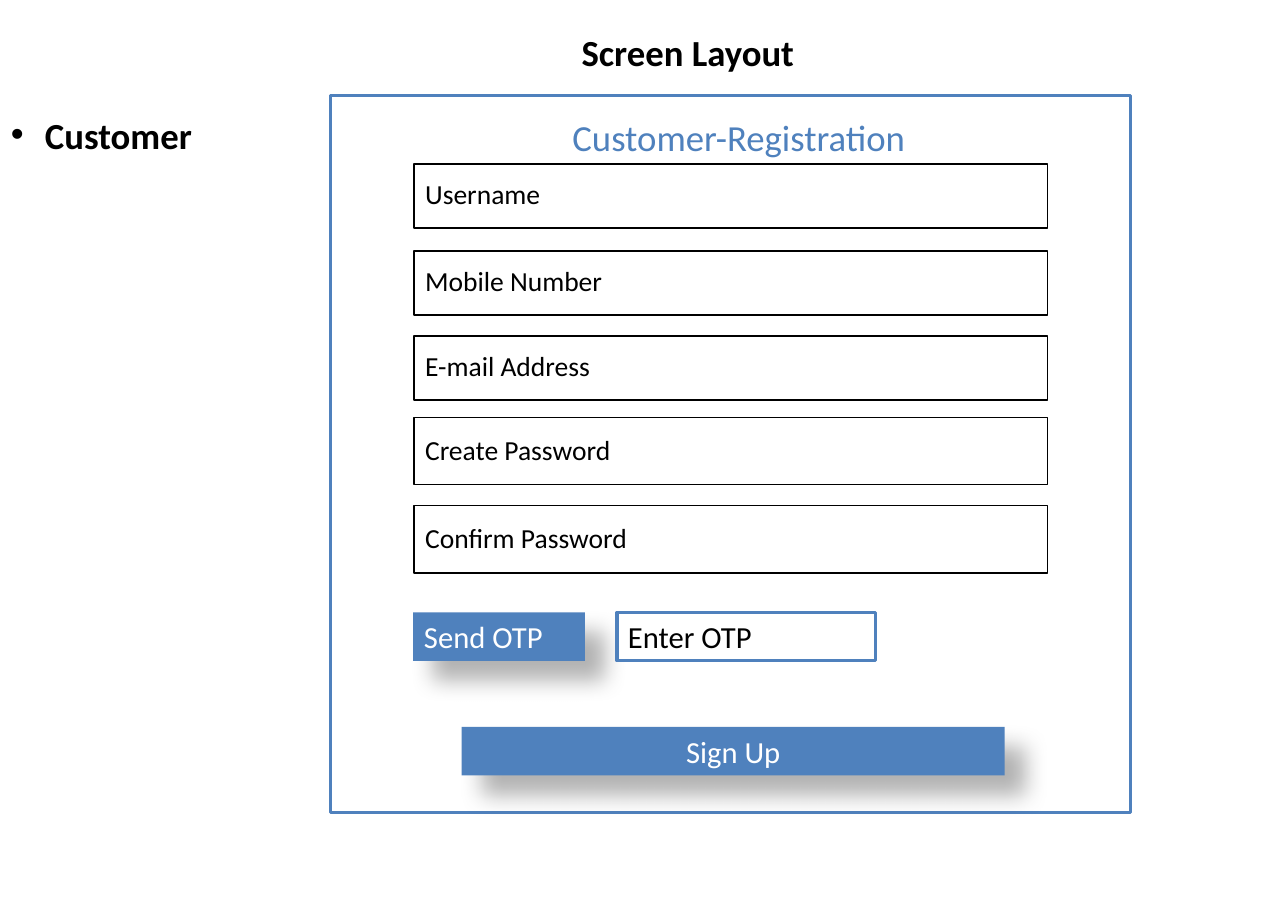
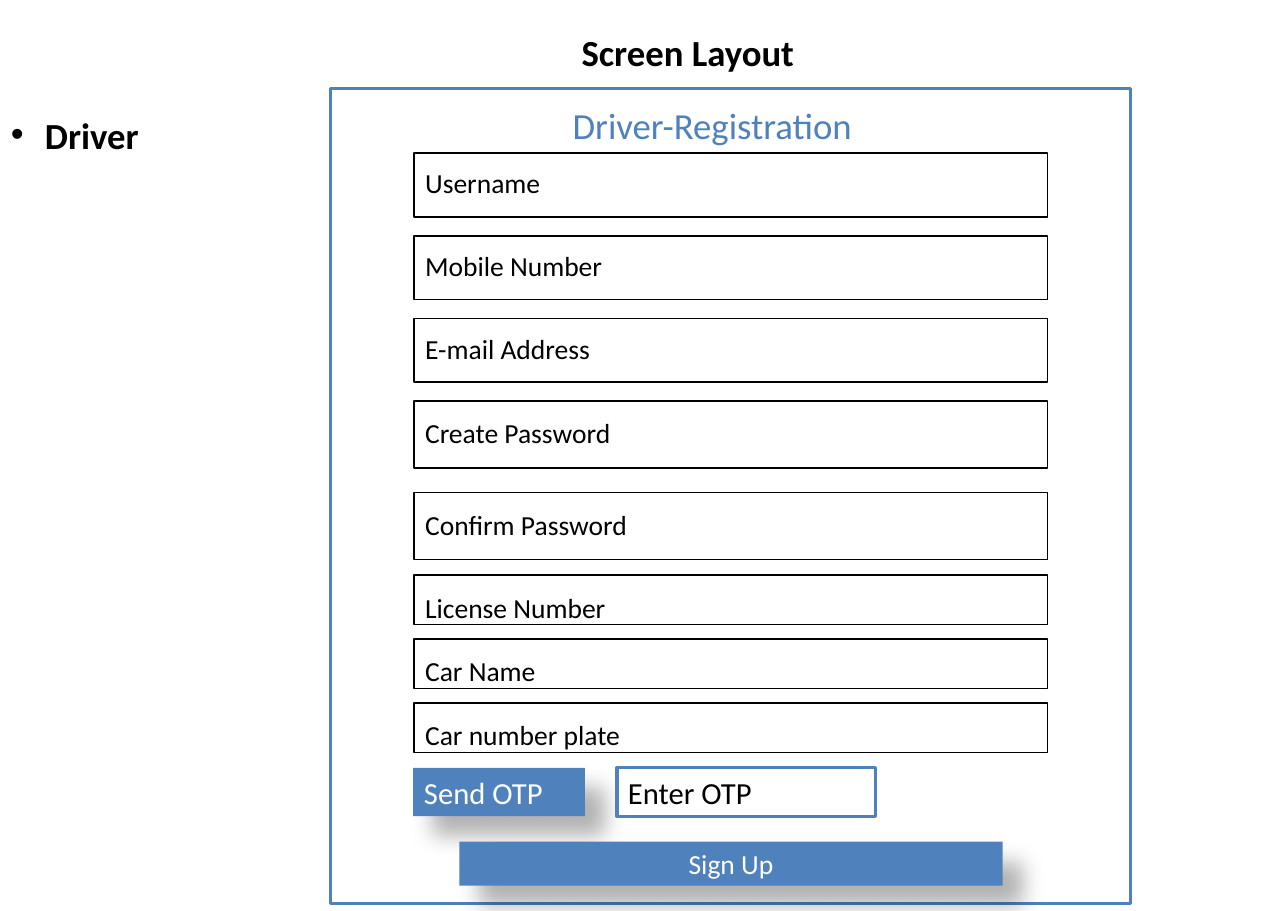
from lxml import etree
from pptx import Presentation
from pptx.dml.color import RGBColor
from pptx.enum.shapes import MSO_SHAPE
from pptx.enum.text import MSO_ANCHOR, PP_ALIGN
from pptx.oxml.ns import qn
from pptx.util import Inches, Pt

RECTANGLE = MSO_SHAPE.RECTANGLE
TOP, MIDDLE = MSO_ANCHOR.TOP, MSO_ANCHOR.MIDDLE
LEFT, CENTER = PP_ALIGN.LEFT, PP_ALIGN.CENTER

FONT = "Calibri"
BLUE, BLACK, WHITE = "4F81BD", "000000", "FFFFFF"
FIELD_LEFT, FIELD_WIDTH = 3.76, 5.75
BUTTON_HEIGHT = 0.44
BULLET_INDENT = 0.31


def color(hex_code):
    return RGBColor.from_string(hex_code)


def write(shape, text, size=18, ink=BLACK, bold=False, align=LEFT,
          anchor=TOP, insets=(0.1, 0.05, 0.1, 0.05), wrap=True):
    """Put one formatted paragraph into the shape and return it."""
    frame = shape.text_frame
    frame.word_wrap = wrap
    frame.vertical_anchor = anchor
    (frame.margin_left, frame.margin_top,
     frame.margin_right, frame.margin_bottom) = map(Inches, insets)
    paragraph = frame.paragraphs[0]
    paragraph.alignment = align
    run = paragraph.add_run()
    run.text = text
    run.font.name = FONT
    run.font.size = Pt(size)
    run.font.bold = bold
    run.font.color.rgb = color(ink)
    return paragraph


def add_bullet(paragraph):
    properties = paragraph._p.get_or_add_pPr()
    properties.set("marL", str(Inches(BULLET_INDENT)))
    properties.set("indent", str(-Inches(BULLET_INDENT)))
    etree.SubElement(properties, qn("a:buFont"), typeface="Arial")
    etree.SubElement(properties, qn("a:buChar"), char="•")


def add_shadow(shape):
    """Cast a soft shadow down and to the right."""
    effects = shape._element.spPr.find(qn("a:effectLst"))
    shadow = etree.SubElement(
        effects, qn("a:outerShdw"), blurRad=str(Pt(15)), dist=str(Pt(18)),
        dir="2700000", algn="ctr", rotWithShape="0")
    tint = etree.SubElement(shadow, qn("a:srgbClr"), val=BLACK)
    etree.SubElement(tint, qn("a:alpha"), val="30000")


class FormDeck:
    def __init__(self):
        self.presentation = Presentation()
        self.presentation.slide_width = Inches(11.69)
        self.presentation.slide_height = Inches(8.27)
        self.slide = None

    def start_slide(self, role):
        self.slide = self.presentation.slides.add_slide(
            self.presentation.slide_layouts[6])
        self.label("Screen Layout", 5.18, 0.22, 2.43, bold=True)
        add_bullet(self.label(role, 0, 0.97, 1.93, bold=True))

    def label(self, text, left, top, width, **style):
        box = self.slide.shapes.add_textbox(
            *map(Inches, (left, top, width, 0.51)))
        return write(box, text, size=24, **style)

    def box(self, left, top, width, height, fill=WHITE, line=None, weight=2):
        shape = self.slide.shapes.add_shape(
            RECTANGLE, *map(Inches, (left, top, width, height)))
        shape.shadow.inherit = False
        shape.fill.solid()
        shape.fill.fore_color.rgb = color(fill)
        if line:
            shape.line.color.rgb = color(line)
            shape.line.width = Pt(weight)
        else:
            shape.line.fill.background()
        return shape

    def panel(self, heading, top, height, heading_top, heading_width):
        self.box(3, top, 7.26, height, line=BLUE)
        self.label(heading, 4.93, heading_top, heading_width,
                   ink=BLUE, align=CENTER, wrap=False)

    def field(self, text, top, height, text_top):
        field = self.box(FIELD_LEFT, top, FIELD_WIDTH, height,
                         line=BLACK, weight=1)
        write(field, text, insets=(0.1, text_top, 0, 0))

    def button(self, text, left, top, width, height=BUTTON_HEIGHT, **style):
        button = self.box(left, top, width, height, fill=BLUE)
        add_shadow(button)
        write(button, text, ink=WHITE, anchor=MIDDLE, **style)

    def otp_row(self, top):
        self.button("Send OTP", 3.75, top, 1.56, size=20)
        entry = self.box(5.6, top, 2.35, BUTTON_HEIGHT, line=BLUE)
        write(entry, "Enter OTP", size=20, anchor=MIDDLE)

    def account_fields(self, tops):
        """Add the five fields that every registration form asks for."""
        names = ("Username", "Mobile Number", "E-mail Address",
                 "Create Password", "Confirm Password")
        for name, top in zip(names, tops):
            if name.endswith("Password"):
                self.field(name, top, 0.61, 0.14)
            else:
                self.field(name, top, 0.58, 0.12)


def customer_slide(deck):
    deck.start_slide("Customer")
    deck.panel("Customer-Registration", 0.87, 6.51, 0.99, 3.55)
    deck.account_fields((1.49, 2.28, 3.05, 3.79, 4.59))
    deck.otp_row(5.56)
    deck.button("Sign Up", 4.19, 6.6, 4.93, size=20, align=CENTER)


def driver_slide(deck):
    deck.start_slide("Driver")
    deck.panel("Driver-Registration", 0.8, 7.4, 0.88, 3.07)
    deck.account_fields((1.39, 2.14, 2.89, 3.64, 4.47))
    for row, name in enumerate(("License Number", "Car Name",
                                "Car number plate")):
        deck.field(name, 5.22 + 0.58 * row, 0.45, 0.14)
    deck.otp_row(6.97)
    deck.button("Sign Up", 4.17, 7.64, 4.93, height=0.4, align=CENTER)


def main():
    deck = FormDeck()
    customer_slide(deck)
    driver_slide(deck)
    deck.presentation.save("out.pptx")


if __name__ == "__main__":
    main()
